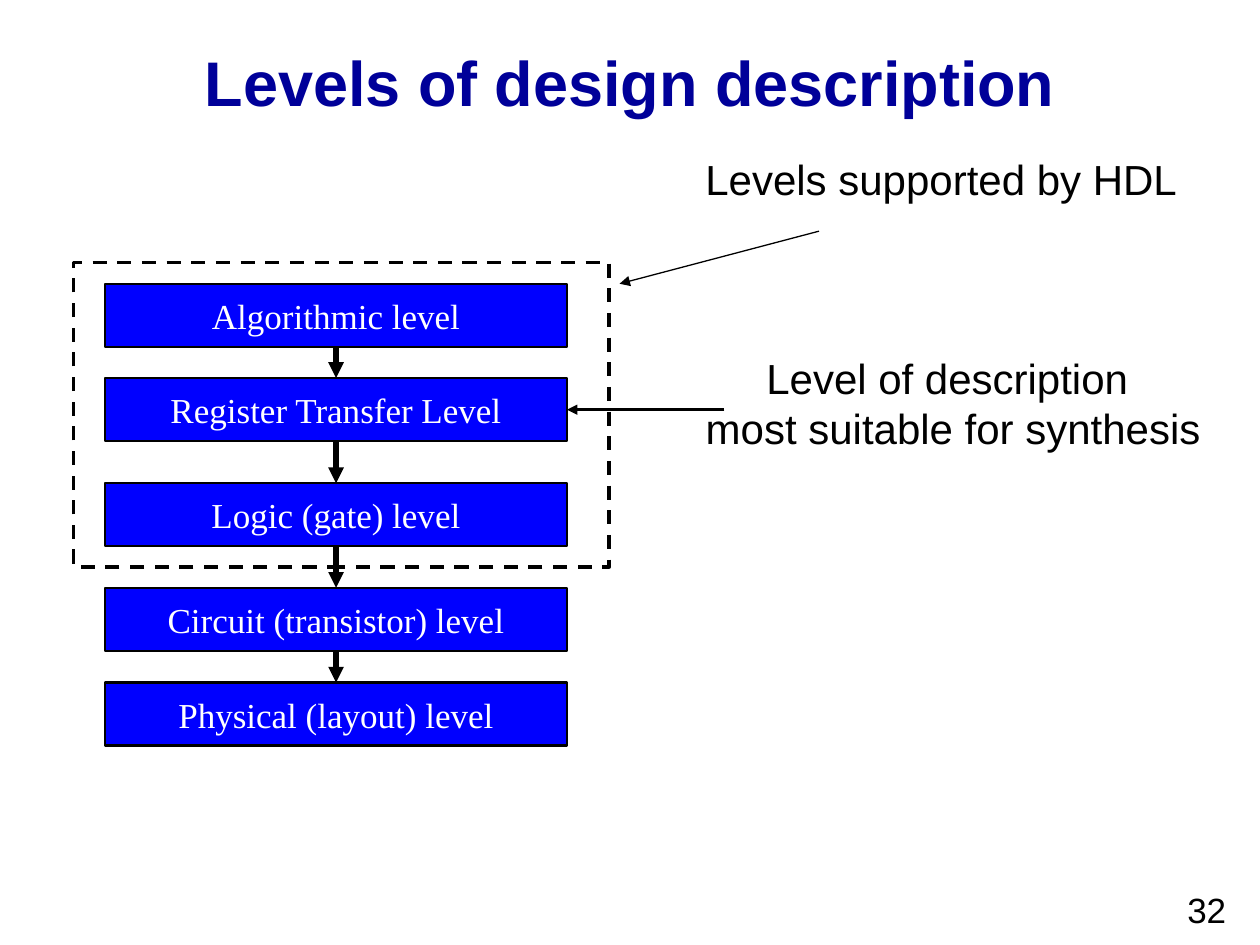
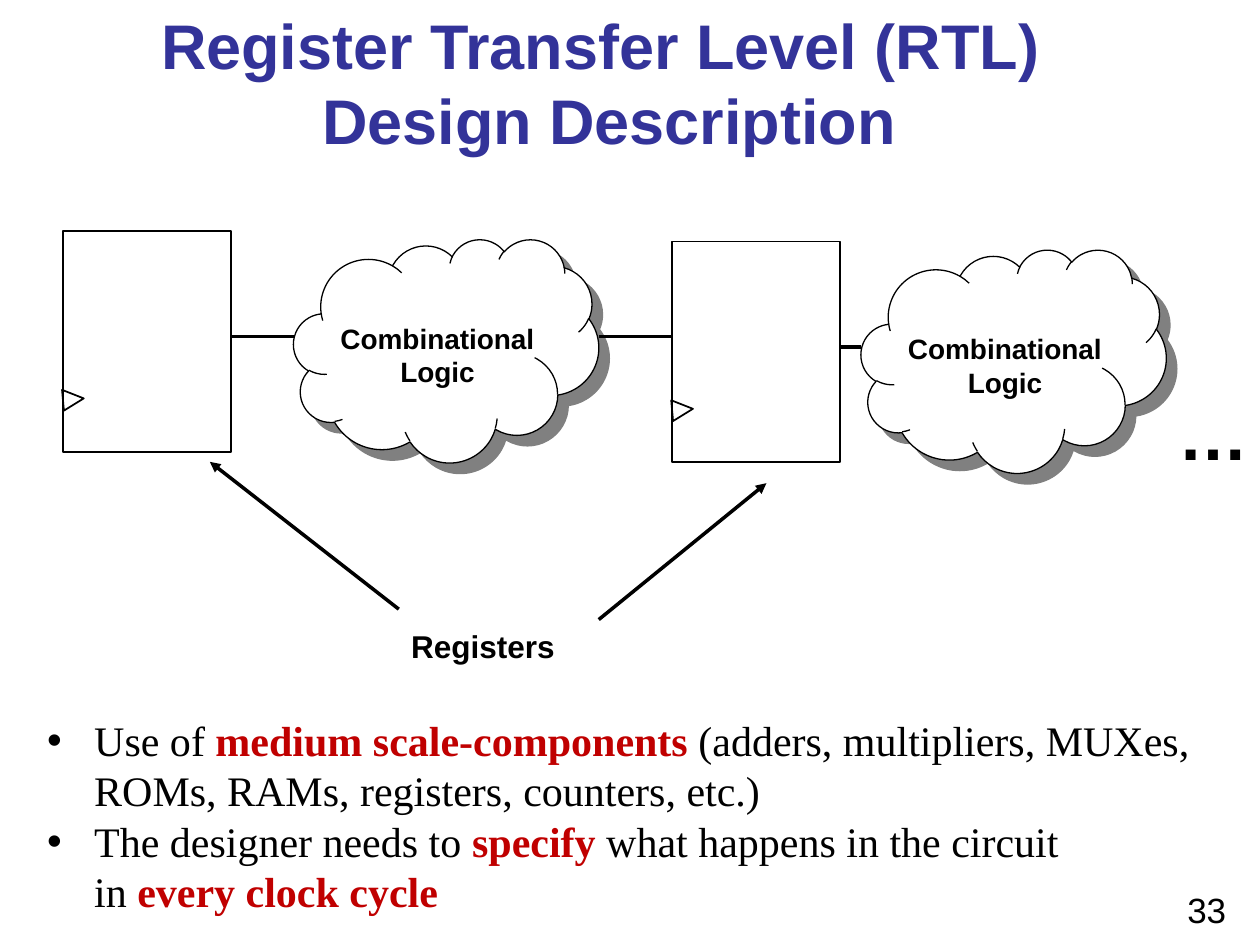
from lxml import etree
from pptx import Presentation
from pptx import util as u
from pptx.dml.color import RGBColor
from pptx.enum import dml, shapes, text
from pptx.oxml.ns import qn

BLACK = RGBColor(0x00, 0x00, 0x00)
WHITE = RGBColor(0xFF, 0xFF, 0xFF)
NAVY = RGBColor(0x00, 0x00, 0x99)
INDIGO = RGBColor(0x33, 0x33, 0x99)
BLUE = RGBColor(0x00, 0x00, 0xFF)
RED = RGBColor(0xC0, 0x00, 0x00)
SANS = "Arial"
SERIF = "Times New Roman"
LEFT, CENTER, RIGHT = text.PP_ALIGN.LEFT, text.PP_ALIGN.CENTER, text.PP_ALIGN.RIGHT

LEVEL_LEFT, LEVEL_WIDTH, LEVEL_HEIGHT = 2.12, 9.31, 1.27
LEVELS = [
    ("Algorithmic level", 5.72),
    ("Register Transfer Level", 7.62),
    ("Logic (gate) level", 9.74),
    ("Circuit (transistor) level", 11.85),
    ("Physical (layout) level", 13.76),
]
STAGES = [(1.27, 4.66, 5.92), (13.55, 4.87, 17.36)]
REGISTER_WIDTH, REGISTER_HEIGHT = 3.39, 4.45
CLOUD_WIDTH, CLOUD_HEIGHT = 6.15, 4.5


def cm(*lengths):
    return [u.Cm(length) for length in lengths]


def add_span(para, words, size, font, color=BLACK, bold=False):
    for index, line in enumerate(words.split("\n")):
        if index:
            para.add_line_break()
        span = para.add_run()
        span.text = line
        span.font.size = u.Pt(size)
        span.font.name = font
        span.font.bold = bold
        span.font.color.rgb = color


def add_paragraph(frame, index, align):
    para = frame.add_paragraph() if index else frame.paragraphs[0]
    para.alignment = align
    return para


def add_text(page, place, lines, size, color=BLACK, bold=False, align=LEFT, wrap=True):
    frame = page.shapes.add_textbox(*cm(*place)).text_frame
    frame.word_wrap = wrap
    for index, line in enumerate(lines):
        add_span(add_paragraph(frame, index, align), line, size, SANS, color, bold)


def add_title(page, place, words, color):
    add_text(page, place, [words], 36, color, True, CENTER)


def add_page_number(page, number):
    add_text(page, (19.69, 17.78, 5.28, 1.27), [str(number)], 20, align=RIGHT)


def add_bullets(page, place, items, size):
    frame = page.shapes.add_textbox(*cm(*place)).text_frame
    frame.word_wrap = True
    for index, spans in enumerate(items):
        para = add_paragraph(frame, index, LEFT)
        properties = para._p.get_or_add_pPr()
        indent = u.Cm(0.95)
        properties.set("marL", str(indent))
        properties.set("indent", str(-indent))
        etree.SubElement(properties, qn("a:buFont"), typeface=SANS)
        etree.SubElement(properties, qn("a:buChar"), char="•")
        for words, strong in spans:
            add_span(para, words, size, SERIF, RED if strong else BLACK, strong)


def add_outline(page, kind, place, weight, fill=None):
    box = page.shapes.add_shape(kind, *cm(*place))
    box.shadow.inherit = False
    box.line.color.rgb = BLACK
    box.line.width = u.Pt(weight)
    if fill is None:
        box.fill.background()
    else:
        box.fill.solid()
        box.fill.fore_color.rgb = fill
    return box


def add_line(page, start, end, weight, arrow=False):
    line = page.shapes.add_connector(shapes.MSO_CONNECTOR.STRAIGHT, *cm(*start, *end))
    line.line.color.rgb = BLACK
    line.line.width = u.Pt(weight)
    if arrow:
        etree.SubElement(line.line._get_or_add_ln(), qn("a:tailEnd"), type="triangle")
    etree.SubElement(line._element.spPr, qn("a:effectLst"))


def add_level(page, name, top):
    place = (LEVEL_LEFT, top, LEVEL_WIDTH, LEVEL_HEIGHT)
    box = add_outline(page, shapes.MSO_SHAPE.RECTANGLE, place, 1.25, BLUE)
    frame = box.text_frame
    frame.word_wrap = False
    frame.vertical_anchor = text.MSO_ANCHOR.MIDDLE
    add_span(add_paragraph(frame, 0, CENTER), name, 20, SERIF, WHITE)


def add_register(page, left, top):
    place = (left, top, REGISTER_WIDTH, REGISTER_HEIGHT)
    add_outline(page, shapes.MSO_SHAPE.RECTANGLE, place, 1)
    place = (left, top + 3.18, 0.42, 0.42)
    clock = add_outline(page, shapes.MSO_SHAPE.FLOWCHART_MERGE, place, 1)
    clock.rotation = 264.9


def add_cloud(page, left, top):
    place = (left, top, CLOUD_WIDTH, CLOUD_HEIGHT)
    cloud = add_outline(page, shapes.MSO_SHAPE.CLOUD, place, 0.75, WHITE)
    effects = cloud._element.spPr.find(qn("a:effectLst"))
    shadow = etree.SubElement(effects, qn("a:outerShdw"), dist=str(u.Pt(8.5)),
                              dir="2700000", algn="ctr", rotWithShape="0")
    etree.SubElement(shadow, qn("a:srgbClr"), val="808080")
    add_text(page, (left, top + 1.53, 5.8, 1.63), ["Combinational", "Logic"], 16,
             bold=True, align=CENTER)


def build_levels(page):
    add_title(page, (1.27, 0.76, 22.86, 3.18), "Levels of design description", NAVY)
    for name, top in LEVELS:
        add_level(page, name, top)
    middle = LEVEL_LEFT + LEVEL_WIDTH / 2
    for (_, upper), (_, lower) in zip(LEVELS, LEVELS[1:]):
        add_line(page, (middle, upper + LEVEL_HEIGHT), (middle, lower), 3, True)
    add_line(page, (14.6, 8.26), (LEVEL_LEFT + LEVEL_WIDTH, 8.26), 1.5, True)
    add_text(page, (12.7, 6.98, 13.03, 2.49),
             ["Level of description ", "most suitable for synthesis"], 24,
             align=CENTER, wrap=False)
    supported = add_outline(page, shapes.MSO_SHAPE.RECTANGLE, (1.48, 5.29, 10.8, 6.14), 2)
    supported.line.dash_style = dml.MSO_LINE.DASH
    add_text(page, (13.97, 2.96, 10.08, 1.3), ["Levels supported by HDL"], 24, wrap=False)
    add_line(page, (16.51, 4.66), (12.49, 5.72), 0.75, True)
    add_page_number(page, 32)


def build_register_transfer(page):
    add_title(page, (0.64, 0, 23.28, 3.18),
              "Register Transfer Level (RTL) \nDesign Description", INDIGO)
    for register_left, top, cloud_left in STAGES:
        add_register(page, register_left, top)
        add_cloud(page, cloud_left, top + 0.16)
        wire = top + 2.12
        add_line(page, (register_left + REGISTER_WIDTH, wire), (cloud_left, wire), 2)
    add_line(page, (12.07, 6.78), (13.55, 6.78), 2)
    add_text(page, (8.04, 12.52, 3.6, 1.02), ["Registers"], 18, bold=True)
    add_line(page, (8.04, 12.28), (4.23, 9.31), 2, True)
    add_line(page, (12.07, 12.49), (15.45, 9.74), 2, True)
    add_text(page, (23.5, 7.75, 1.9, 1.96), ["…"], 40, bold=True, wrap=False)
    add_bullets(page, (0.7, 14.28, 23.98, 4.37), [
        [("Use of ", False), ("medium scale-components ", True),
         ("(adders, multipliers, MUXes, \nROMs, RAMs, registers, counters, etc.)", False)],
        [("The designer needs to ", False), ("specify", True),
         (" what happens in the circuit\nin ", False), ("every clock cycle", True)],
    ], 24)
    add_page_number(page, 33)


def main():
    deck = Presentation()
    deck.slide_width, deck.slide_height = cm(25.4, 19.05)
    for build in (build_levels, build_register_transfer):
        build(deck.slides.add_slide(deck.slide_layouts[6]))
    deck.save("out.pptx")


if __name__ == "__main__":
    main()
